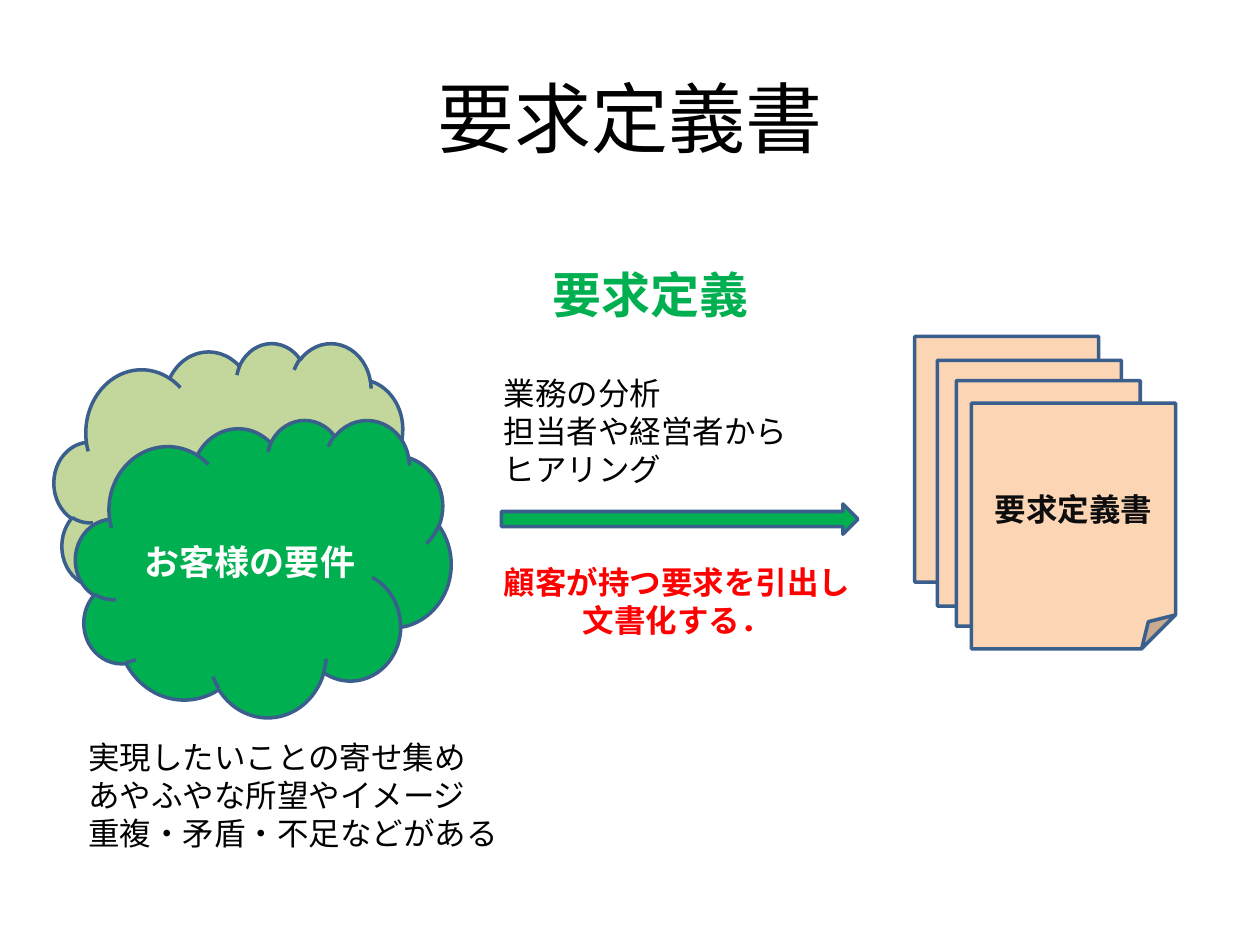
from pptx import Presentation
from pptx.dml.color import RGBColor
from pptx.enum.shapes import MSO_SHAPE as Shape
from pptx.enum.text import MSO_ANCHOR as Anchor, PP_ALIGN as Align
from pptx.util import Inches, Pt

COLORS = {
    "black": "000000",
    "ink": "0D0D0D",
    "white": "FFFFFF",
    "red": "FF0000",
    "green": "00B050",
    "pale_green": "C3D69B",
    "paper": "FCD5B5",
    "outline": "3A5F8C",
}
JAPANESE = "Noto Sans CJK JP"
LATIN = "Calibri"


def color(name):
    return RGBColor.from_string(COLORS[name])


def style_paragraph(paragraph, size, color_name, bold=False, font=JAPANESE, align=Align.LEFT):
    paragraph.alignment = align
    paragraph.font.name = font
    paragraph.font.size = Pt(size)
    paragraph.font.bold = bold
    paragraph.font.color.rgb = color(color_name)


def add_text(slide, box, lines, size, color_name="black", wrap=True, anchor=Anchor.TOP, **style):
    frame = slide.shapes.add_textbox(*map(Inches, box)).text_frame
    frame.word_wrap = wrap
    frame.vertical_anchor = anchor
    frame.text = "\n".join(lines)
    for paragraph in frame.paragraphs:
        style_paragraph(paragraph, size, color_name, **style)
    return frame


def add_outlined(shapes, kind, box, fill):
    shape = shapes.add_shape(kind, *map(Inches, box))
    shape.shadow.inherit = False
    shape.fill.solid()
    shape.fill.fore_color.rgb = color(fill)
    shape.line.color.rgb = color("outline")
    shape.line.width = Pt(2)
    return shape


def add_label(shape, text, size, color_name):
    frame = shape.text_frame
    frame.text = text
    frame.vertical_anchor = Anchor.MIDDLE
    style_paragraph(frame.paragraphs[0], size, color_name, bold=True, align=Align.CENTER)


def add_clouds(slide):
    add_outlined(slide.shapes, Shape.CLOUD, (0.43, 2.72, 2.83, 2.36), "pale_green")
    front = add_outlined(slide.shapes, Shape.CLOUD, (0.6, 3.33, 2.98, 2.36), "green")
    add_label(front, "お客様の要件", 20, "white")


def add_documents(slide):
    group = slide.shapes.add_group_shape()
    sheets = [(7.26, 2.67, 1.46), (7.44, 2.86, 1.46), (7.59, 3.02, 1.46), (7.71, 3.2, 1.62)]
    for left, top, width in sheets:
        sheet = add_outlined(group.shapes, Shape.FOLDED_CORNER, (left, top, width, 1.95), "paper")
    add_label(sheet, "要求定義書", 18, "ink")


def add_process_text(slide):
    lines = ["業務の分析", "担当者や経営者から", "ヒアリング", "顧客が持つ要求を引出し", "文書化する．"]
    frame = add_text(slide, (3.9, 2.92, 2.95, 2.22), lines, 18, wrap=False)
    outcome = frame.paragraphs[3:]
    for paragraph in outcome:
        style_paragraph(paragraph, 18, "red", bold=True, align=Align.CENTER)
    outcome[0].space_before = Pt(43)


def main():
    presentation = Presentation()
    presentation.slide_width = Inches(10)
    presentation.slide_height = Inches(7.5)
    slide = presentation.slides.add_slide(presentation.slide_layouts[6])

    add_text(slide, (0.5, 0.3, 9, 1.25), ["要求定義書"], 44, anchor=Anchor.MIDDLE, align=Align.CENTER)
    add_clouds(slide)
    wishes = ["実現したいことの寄せ集め", "あやふやな所望やイメージ", "重複・矛盾・不足などがある"]
    add_text(slide, (0.6, 5.81, 3.55, 1.01), wishes, 18, font=LATIN)
    add_outlined(slide.shapes, Shape.RIGHT_ARROW, (3.98, 4, 2.83, 0.24), "green")
    add_documents(slide)
    add_text(slide, (4.29, 2.05, 1.77, 0.57), ["要求定義"], 28, "green", wrap=False, bold=True)
    add_process_text(slide)

    presentation.save("out.pptx")


if __name__ == "__main__":
    main()
